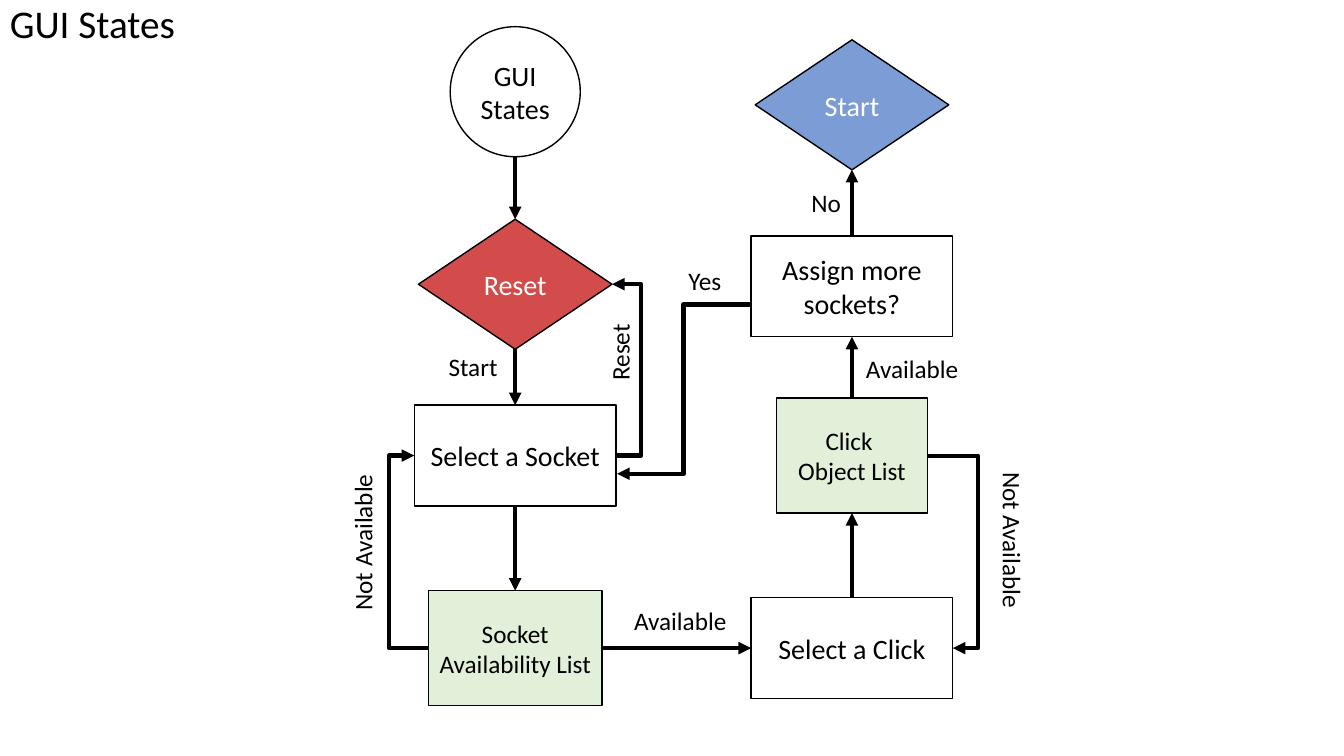
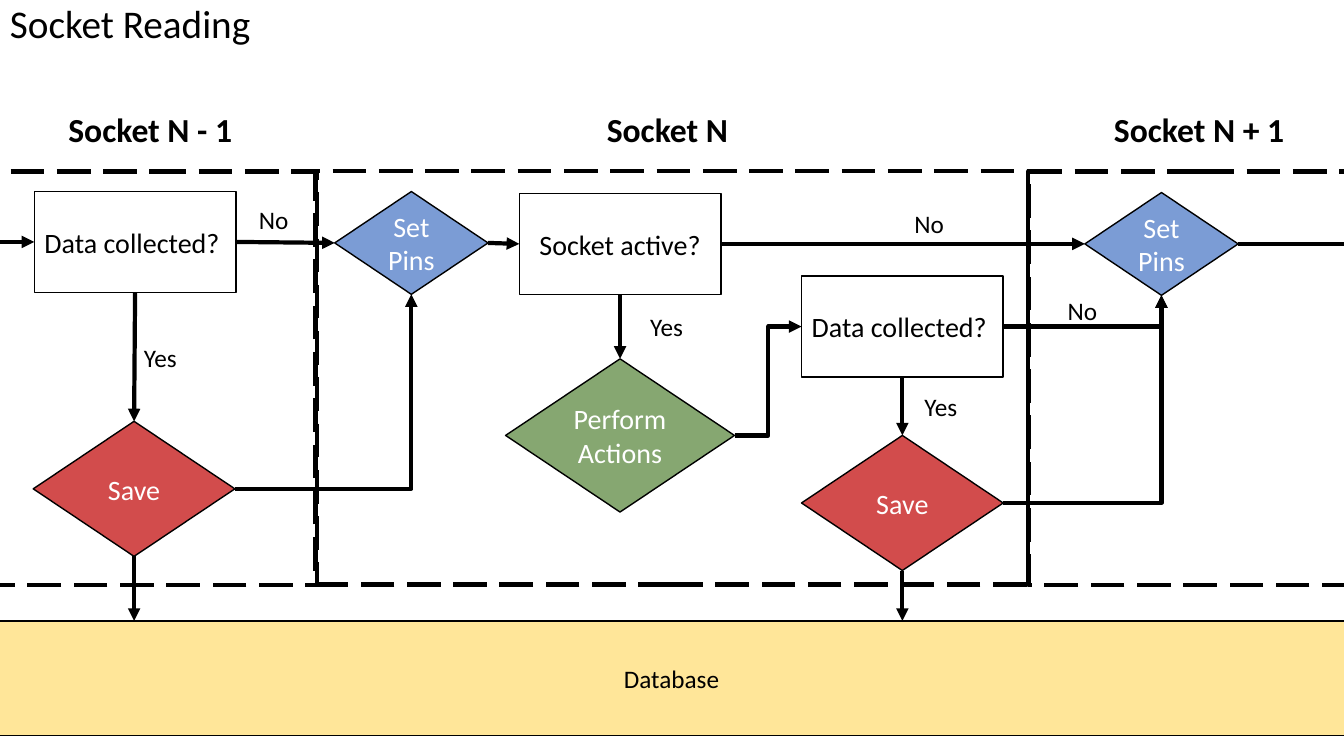
from lxml.etree import SubElement
from pptx import Presentation
from pptx.dml.color import RGBColor
from pptx.enum.dml import MSO_LINE
from pptx.enum.shapes import MSO_CONNECTOR, MSO_SHAPE
from pptx.enum.text import MSO_ANCHOR, PP_ALIGN
from pptx.oxml.ns import qn
from pptx.util import Inches, Pt

FONT = "Calibri"
BLACK = RGBColor(0x00, 0x00, 0x00)
WHITE = RGBColor(0xFF, 0xFF, 0xFF)
RED = RGBColor(0xC0, 0x00, 0x00)
BLUE = RGBColor(0x44, 0x72, 0xC4)
GREEN = RGBColor(0x54, 0x82, 0x35)
PALE_GREEN = RGBColor(0xE2, 0xF0, 0xD9)
YELLOW = RGBColor(0xFF, 0xE6, 0x99)

TOP, LEFT, BOTTOM, RIGHT = range(4)
CORNER = "corner"
DECISION_OPACITY = 70
LABEL_HEIGHT = 0.4
LABEL_WIDTHS = {"Yes": 0.53, "No": 0.5, "Start": 0.69, "Reset": 0.77,
                "Available": 1.13, "Not Available": 1.63}

# Node kinds: preset shape, fill, text colour, text size
KINDS = {
    "circle": (MSO_SHAPE.OVAL, None, BLACK, 20),
    "step": (MSO_SHAPE.RECTANGLE, WHITE, BLACK, 20),
    "list": (MSO_SHAPE.RECTANGLE, PALE_GREEN, BLACK, 18),
    "store": (MSO_SHAPE.RECTANGLE, YELLOW, BLACK, 18),
    "red": (MSO_SHAPE.FLOWCHART_DECISION, RED, WHITE, 20),
    "blue": (MSO_SHAPE.FLOWCHART_DECISION, BLUE, WHITE, 20),
    "green": (MSO_SHAPE.FLOWCHART_DECISION, GREEN, WHITE, 20),
}
STEP, BRANCH, PINS, SAVE = (2, 1), (1.92, 1.29), (1.52, 1.02), (2, 1.34)

# Nodes: kind, paragraphs, centre, size
# Links: begin, end, route (None is straight, a number is the x of the bend)
# Labels: text, left, top, rotation
# Frames: left, width, rotation
# Headings: text, left, width
SLIDES = [
    {
        "title": ("GUI States", 1.87),
        "nodes": {
            "gui": ("circle", ["GUI", "States"], (5.11, 0.91), (1.29, 1.29)),
            "reset": ("red", ["Reset"], (5.11, 2.82), BRANCH),
            "socket": ("step", ["Select a Socket"], (5.11, 4.52), STEP),
            "sockets": ("list", ["Socket Availability List"], (5.11, 6.43), (1.72, 1.14)),
            "start": ("blue", ["Start"], (8.45, 1.04), BRANCH),
            "more": ("step", ["Assign more sockets?"], (8.45, 2.84), STEP),
            "objects": ("list", ["Click ", "Object List"], (8.45, 4.52), (1.5, 1.14)),
            "click": ("step", ["Select a Click"], (8.45, 6.43), STEP),
        },
        "links": [
            ((5.11, 1.55), ("reset", TOP), None),
            (("reset", BOTTOM), ("socket", TOP), None),
            (("socket", BOTTOM), ("sockets", TOP), None),
            (("sockets", RIGHT), ("click", LEFT), None),
            (("click", TOP), ("objects", BOTTOM), None),
            (("objects", TOP), ("more", BOTTOM), None),
            (("more", TOP), ("start", BOTTOM), None),
            (("sockets", LEFT), ("socket", LEFT), 3.86),
            (("socket", RIGHT), ("reset", RIGHT), 6.36),
            (("objects", RIGHT), ("click", RIGHT), 9.7),
            ((7.44, 3.02), (6.12, 4.7), 6.78),
        ],
        "labels": [
            ("Start", 4.35, 3.44, 0), ("Reset", 5.76, 3.29, 270),
            ("Not Available", 2.78, 5.14, 270), ("Available", 6.19, 5.96, 0),
            ("Not Available", 9.23, 5.2, 90), ("Available", 8.49, 3.46, 0),
            ("Yes", 6.73, 2.58, 0), ("No", 7.95, 1.81, 0),
        ],
        "frames": [],
        "headings": [],
    },
    {
        "title": ("Socket Reading", 2.68),
        "nodes": {
            "database": ("store", ["Database"], (6.66, 6.73), (13.55, 1.14)),
            "previous data": ("step", ["Data collected? "], (1.34, 2.4), STEP),
            "previous save": ("red", ["Save"], (1.33, 4.85), SAVE),
            "pins": ("blue", ["Set Pins"], (4.08, 2.41), PINS),
            "active": ("step", ["Socket active?"], (6.15, 2.42), STEP),
            "actions": ("green", ["Perform Actions"], (6.15, 4.32), (2.27, 1.52)),
            "data": ("step", ["Data collected? "], (8.95, 3.24), STEP),
            "save": ("red", ["Save"], (8.95, 4.99), SAVE),
            "next pins": ("blue", ["Set Pins"], (11.52, 2.42), PINS),
        },
        "links": [
            ((-0.44, 2.4), ("previous data", LEFT), None),
            (("previous data", BOTTOM), ("previous save", TOP), None),
            (("previous data", RIGHT), ("pins", LEFT), None),
            (("previous save", RIGHT), ("pins", BOTTOM), CORNER),
            (("previous save", BOTTOM), (1.33, 6.16), None),
            (("pins", RIGHT), ("active", LEFT), None),
            (("active", RIGHT), ("next pins", LEFT), None),
            (("active", BOTTOM), ("actions", TOP), None),
            (("actions", RIGHT), ("data", LEFT), 7.62),
            (("data", BOTTOM), ("save", TOP), None),
            (("data", RIGHT), ("next pins", BOTTOM), CORNER),
            (("save", RIGHT), ("next pins", BOTTOM), CORNER),
            (("save", BOTTOM), (8.95, 6.16), None),
            (("next pins", RIGHT), (13.61, 2.42), None),
        ],
        "labels": [
            ("Yes", 1.33, 3.35, 0), ("No", 2.47, 1.98, 0), ("No", 8.97, 2.02, 0),
            ("Yes", 6.35, 3.04, 0), ("Yes", 9.07, 3.83, 0), ("No", 10.49, 2.88, 0),
        ],
        "frames": [(3.13, 7.07, 0), (-0.12, 3.26, 180), (10.2, 3.41, 180)],
        "headings": [("Socket N - 1", 0.58, 1.84), ("Socket N", 5.92, 1.49),
                     ("Socket N + 1", 10.95, 1.9)],
    },
]


def add_run(paragraph, text, size, color=BLACK, bold=False):
    run = paragraph.add_run()
    run.text = text
    run.font.name = FONT
    run.font.size = Pt(size)
    run.font.bold = bold
    run.font.color.rgb = color


def add_text(slide, text, left, top, width, height, size, bold=False, wrap=False):
    box = slide.shapes.add_textbox(Inches(left), Inches(top), Inches(width), Inches(height))
    box.text_frame.word_wrap = wrap
    add_run(box.text_frame.paragraphs[0], text, size, bold=bold)
    return box


def add_outlined(slide, preset, left, top, width, height, fill, line_width):
    shape = slide.shapes.add_shape(
        preset, Inches(left), Inches(top), Inches(width), Inches(height))
    shape.shadow.inherit = False
    if fill is None:
        shape.fill.background()
    else:
        shape.fill.solid()
        shape.fill.fore_color.rgb = fill
    shape.line.color.rgb = BLACK
    shape.line.width = Pt(line_width)
    return shape


def add_node(slide, kind, paragraphs, centre, size):
    preset, fill, text_color, text_size = KINDS[kind]
    (x, y), (width, height) = centre, size
    node = add_outlined(slide, preset, x - width / 2, y - height / 2, width, height, fill, 1)
    if preset == MSO_SHAPE.FLOWCHART_DECISION:
        color = node._element.spPr.find(qn("a:solidFill"))[0]
        SubElement(color, qn("a:alpha"), val=str(DECISION_OPACITY * 1000))
    frame = node.text_frame
    frame.word_wrap = True
    frame.vertical_anchor = MSO_ANCHOR.MIDDLE
    for i, text in enumerate(paragraphs):
        paragraph = frame.add_paragraph() if i else frame.paragraphs[0]
        paragraph.alignment = PP_ALIGN.CENTER
        add_run(paragraph, text, text_size, text_color)
    return node


def set_route(link, route):
    """Bend an elbow once (CORNER) or at the given x."""
    geometry = link._element.spPr.find(qn("a:prstGeom"))
    if route == CORNER:
        geometry.set("prst", "bentConnector2")
        return
    share = (Inches(route) - link.begin_x) / (link.end_x - link.begin_x)
    guides = geometry.find(qn("a:avLst"))
    if guides is None:
        guides = SubElement(geometry, qn("a:avLst"))
    SubElement(guides, qn("a:gd"), name="adj1", fmla=f"val {round(share * 100000)}")


def add_link(slide, nodes, begin, end, route):
    """Draw an arrow; each end is a point or a (node, side) pair to join."""
    kind = MSO_CONNECTOR.STRAIGHT if route is None else MSO_CONNECTOR.ELBOW
    points = [(0, 0) if spot[0] in nodes else spot for spot in (begin, end)]
    link = slide.shapes.add_connector(kind, *(Inches(v) for point in points for v in point))
    for spot, connect in ((begin, link.begin_connect), (end, link.end_connect)):
        if spot[0] in nodes:
            connect(nodes[spot[0]], spot[1])
    link.line.color.rgb = BLACK
    link.line.width = Pt(3)
    SubElement(link.line._get_or_add_ln(), qn("a:tailEnd"), type="triangle")
    SubElement(link._element.spPr, qn("a:effectLst"))
    if route is not None:
        set_route(link, route)


def add_frame(slide, left, width, rotation):
    frame = add_outlined(slide, MSO_SHAPE.RECTANGLE, left, 1.7, width, 4.1, None, 3)
    frame.line.dash_style = MSO_LINE.LONG_DASH
    frame.rotation = rotation


def build_slide(prs, content):
    slide = prs.slides.add_slide(prs.slide_layouts[6])
    title, title_width = content["title"]
    heading = add_text(slide, title, 0, 0, title_width, 0.53, 28, wrap=True)
    heading.text_frame.paragraphs[0].line_spacing = 0.9
    for frame in content["frames"]:
        add_frame(slide, *frame)
    for text, left, width in content["headings"]:
        add_text(slide, text, left, 1.03, width, 0.5, 24, bold=True)
    nodes = {key: add_node(slide, *node) for key, node in content["nodes"].items()}
    for link in content["links"]:
        add_link(slide, nodes, *link)
    for text, left, top, rotation in content["labels"]:
        label = add_text(slide, text, left, top, LABEL_WIDTHS[text], LABEL_HEIGHT, 18)
        label.rotation = rotation


def main():
    prs = Presentation()
    prs.slide_width, prs.slide_height = Inches(13.33), Inches(7.5)
    for content in SLIDES:
        build_slide(prs, content)
    prs.save("out.pptx")


if __name__ == "__main__":
    main()
